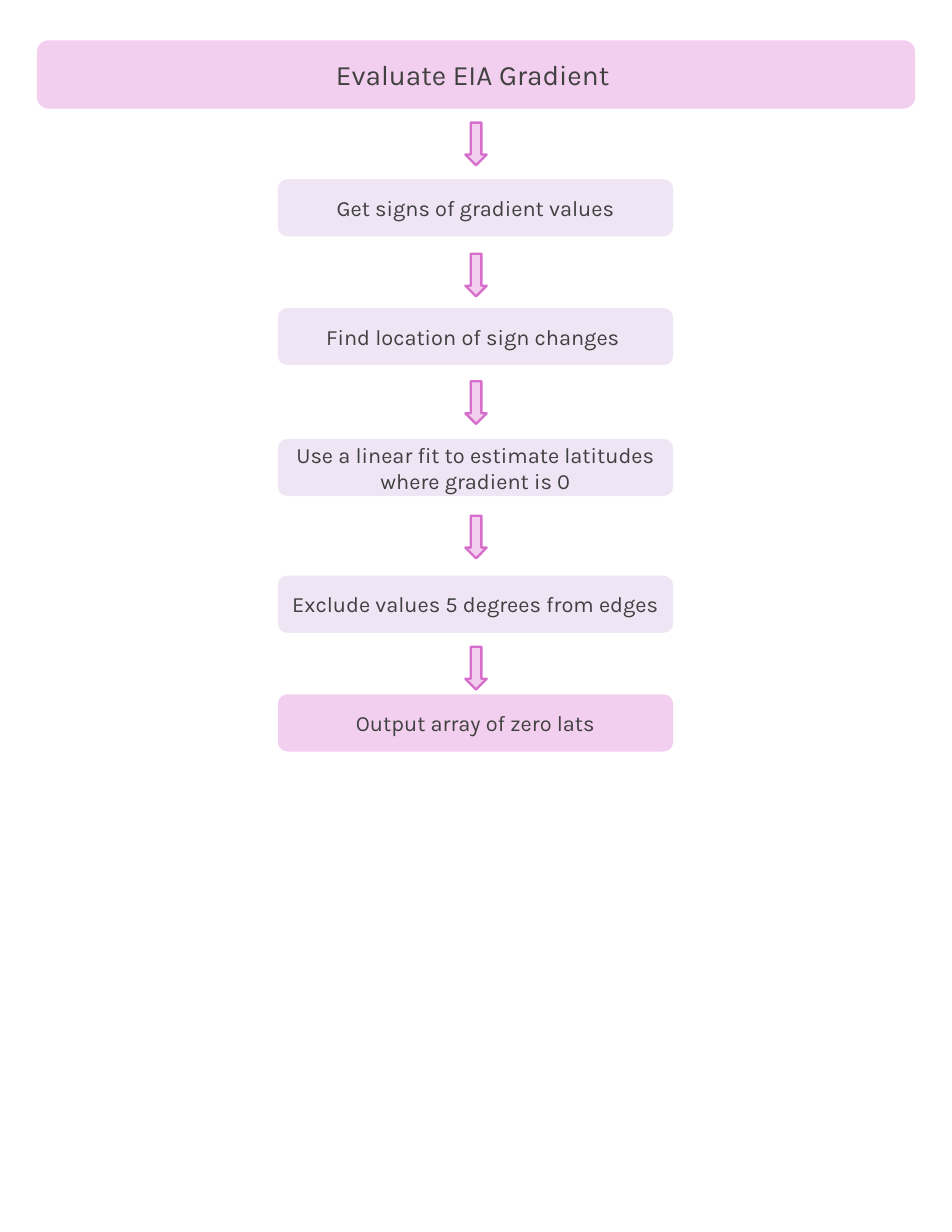
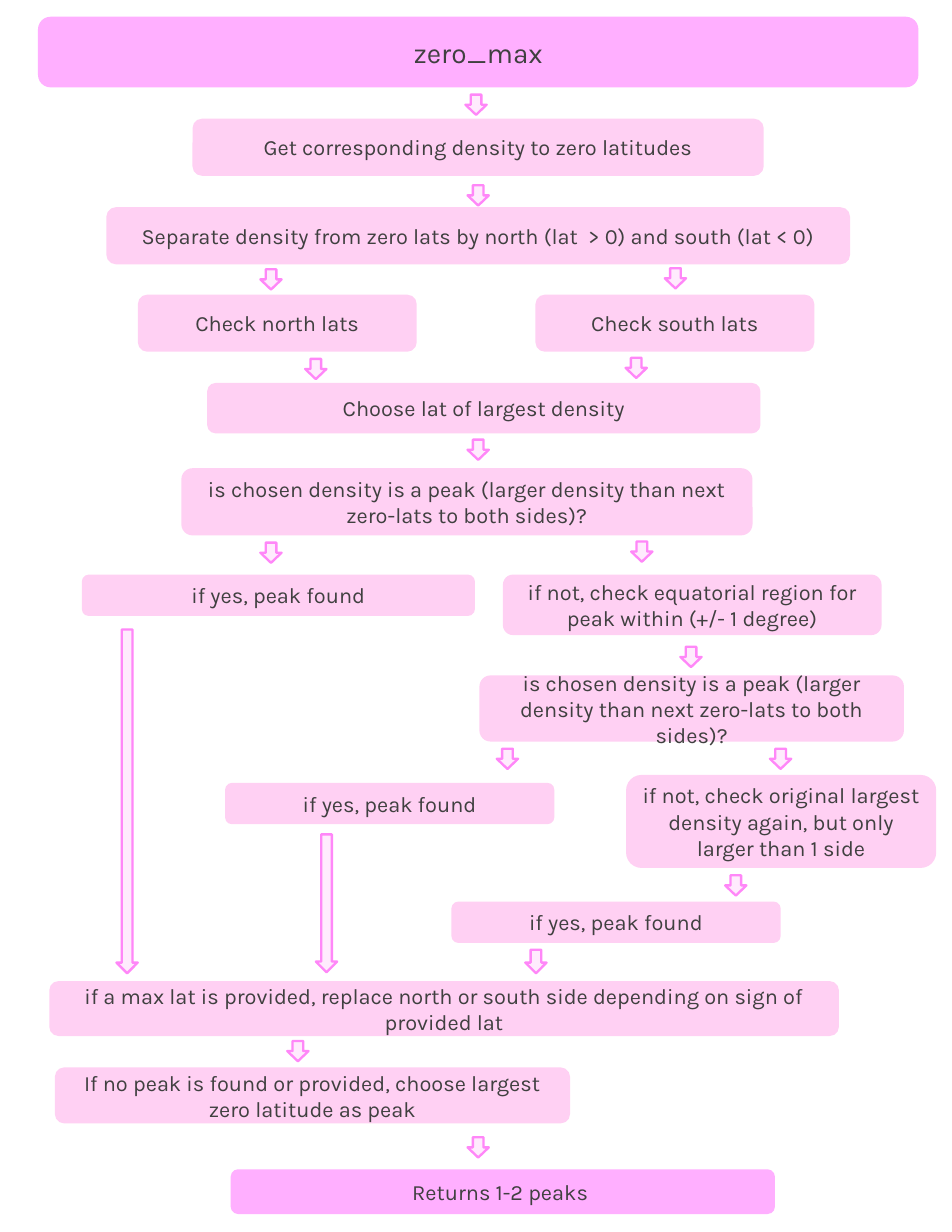
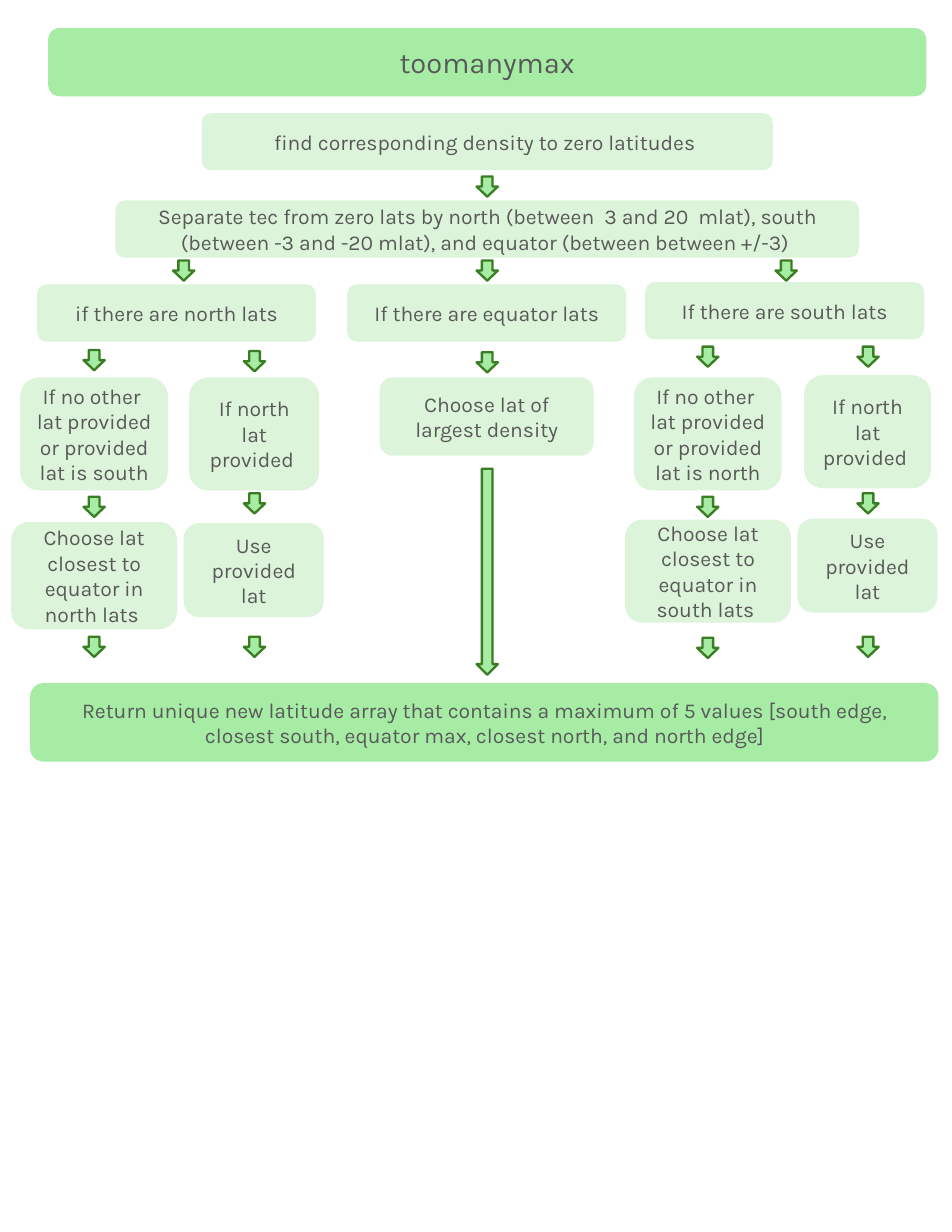
from dataclasses import dataclass

from lxml import etree
from pptx import Presentation
from pptx.dml.color import RGBColor
from pptx.enum.shapes import MSO_SHAPE
from pptx.enum.text import MSO_ANCHOR, PP_ALIGN
from pptx.oxml.ns import qn
from pptx.util import Pt

ROUND_RECT = MSO_SHAPE.ROUNDED_RECTANGLE
RIGHT_ARROW = MSO_SHAPE.RIGHT_ARROW
MIDDLE = MSO_ANCHOR.MIDDLE
CENTER = PP_ALIGN.CENTER

CHARCOAL = RGBColor(0x40, 0x40, 0x40)
GRAY = RGBColor(0x59, 0x59, 0x59)
ORCHID = RGBColor(0xF2, 0xCF, 0xEE)
LAVENDER = RGBColor(0xF0, 0xE5, 0xF5)
MAGENTA = RGBColor(0xD8, 0x6E, 0xCC)
HOT_PINK = RGBColor(0xFF, 0xAF, 0xFF)
PALE_PINK = RGBColor(0xFF, 0xD0, 0xF3)
BRIGHT_PINK = RGBColor(0xFF, 0x87, 0xF8)
GREEN = RGBColor(0xA6, 0xEC, 0xA5)
PALE_GREEN = RGBColor(0xDC, 0xF5, 0xDA)
DARK_GREEN = RGBColor(0x3B, 0x7D, 0x23)

FONT = "Karla"
LINE_WIDTH = 1.5
TITLE_WIDTH, TITLE_HEIGHT = 564.5, 43.9
STEP_HEIGHT = 36.7
ARROW_WIDTH = 13.7
ARROW_LENGTH = 13


@dataclass
class Theme:
    """Colours and text sizes of one flowchart."""
    accent: RGBColor
    step: RGBColor
    arrow_fill: RGBColor
    arrow_line: RGBColor
    text: RGBColor
    title_size: float = 18
    step_size: float = 14
    arrow_opacity: int = 100
    title_outline: bool = False


class Flowchart:
    """Draws the elements of one flowchart on a new slide."""

    def __init__(self, prs, theme):
        self.s = prs.slides.add_slide(prs.slide_layouts[6])
        self.theme = theme

    def shape(self, kind, x, y, w, h, fill, line=None):
        """Add a filled preset shape without a shadow."""
        sp = self.s.shapes.add_shape(kind, Pt(x), Pt(y), Pt(w), Pt(h))
        sp.shadow.inherit = False
        sp.fill.solid()
        sp.fill.fore_color.rgb = fill
        if line is None:
            sp.line.fill.background()
        else:
            sp.line.color.rgb = line
            sp.line.width = Pt(LINE_WIDTH)
        return sp

    def box(self, text, x, y, w, h, fill, size, line=None):
        """Add a rounded box with centred text."""
        tf = self.shape(ROUND_RECT, x, y, w, h, fill, line).text_frame
        tf.word_wrap = True
        tf.vertical_anchor = MIDDLE
        p = tf.paragraphs[0]
        p.alignment = CENTER
        r = p.add_run()
        r.text = text
        r.font.name = FONT
        r.font.size = Pt(size)
        r.font.color.rgb = self.theme.text

    def title(self, text, x, y):
        """Add the title band."""
        t = self.theme
        line = t.accent if t.title_outline else None
        self.box(text, x, y, TITLE_WIDTH, TITLE_HEIGHT, t.accent, t.title_size, line)

    def step(self, text, x, y, w, h=STEP_HEIGHT):
        """Add a step box."""
        self.box(text, x, y, w, h, self.theme.step, self.theme.step_size)

    def result(self, text, x, y, w, h=STEP_HEIGHT):
        """Add the closing box in the accent colour."""
        self.box(text, x, y, w, h, self.theme.accent, self.theme.step_size)

    def arrow(self, cx, cy, length=ARROW_LENGTH):
        """Add a block arrow pointing down, placed by its centre."""
        t = self.theme
        sp = self.shape(RIGHT_ARROW, cx - length / 2, cy - ARROW_WIDTH / 2,
                        length, ARROW_WIDTH, t.arrow_fill, t.arrow_line)
        sp.rotation = 90
        if t.arrow_opacity < 100:
            color = sp.fill._xPr.find(qn("a:solidFill"))[0]
            etree.SubElement(color, qn("a:alpha")).set("val", str(t.arrow_opacity * 1000))


def build_gradient(prs):
    """Build the flowchart that evaluates the gradient."""
    chart = Flowchart(prs, Theme(ORCHID, LAVENDER, ORCHID, MAGENTA, CHARCOAL))
    left, width = 178.6, 254.2
    chart.title("Evaluate EIA Gradient ", 23.8, 25.9)
    for text, y in (
        ("Get signs of gradient values", 115.2),
        ("Find location of sign changes ", 198),
        ("Use a linear fit to estimate latitudes where gradient is 0", 282.2),
        ("Exclude values 5 degrees from edges", 370.1),
    ):
        chart.step(text, left, y, width)
    chart.result("Output array of zero lats", left, 446.4, width)
    for cy in (92.5, 176.8, 258.8, 345.2, 429.5):
        chart.arrow(306, cy, 27.4)


def build_zero_max(prs):
    """Build the zero_max flowchart."""
    chart = Flowchart(prs, Theme(HOT_PINK, PALE_PINK, BRIGHT_PINK, BRIGHT_PINK, CHARCOAL,
                                 arrow_opacity=16, title_outline=True))
    is_peak = ("is chosen density is a peak (larger density than next "
               "zero-lats to both sides)?")
    found = "if yes, peak found"
    chart.title("zero_max", 25.2, 11.5)
    for step in (
        ("Get corresponding density to zero latitudes", 123.8, 76.3, 367.2),
        ("Separate density from zero lats by north (lat  > 0) and south (lat < 0)",
         68.4, 133.2, 478.1),
        ("Check north lats", 88.6, 189.4, 179.3),
        ("Check south lats", 344.2, 189.4, 179.3),
        ("Choose lat of largest density", 133.2, 246.2, 355.7, 32.4),
        (is_peak, 116.6, 301, 367.2, 43.2),
        (found, 52.6, 369.4, 252.7, 26.6),
        ("if not, check equatorial region for peak within (+/- 1 degree)",
         323.3, 369.4, 243.4, 38.9),
        (is_peak, 308.2, 434.2, 272.9, 42.5),
        (found, 144.7, 503.3, 211.7, 26.6),
        ("if not, check original largest density again, but only larger than 1 side",
         402.5, 498.2, 199.4, 59.8),
        (found, 290.2, 579.6, 211.7, 26.6),
        ("if a max lat is provided, replace north or south side depending on sign of "
         "provided lat", 31.7, 630.7, 507.6, 35.3),
        ("If no peak is found or provided, choose largest zero latitude as peak",
         35.3, 686.2, 331.2, 36),
    ):
        chart.step(*step)
    chart.result("Returns 1-2 peaks ", 148.3, 751.7, 349.9, 28.8)
    for arrow in (
        (306, 67.3), (307.4, 125.6), (174.2, 179.6), (434.2, 178.9),
        (203, 237.2), (409, 236.5), (307.4, 289.1), (174.2, 355.3),
        (412.6, 354.6), (444.2, 422.3), (326.2, 487.8), (501.8, 487.8),
        (81.7, 515.2, 221), (209.9, 580.7, 88.6), (473, 569.2),
        (344.5, 618.1, 15.1), (191.5, 675.7), (307.4, 737.6),
    ):
        chart.arrow(*arrow)


def build_toomanymax(prs):
    """Build the toomanymax flowchart."""
    chart = Flowchart(prs, Theme(GREEN, PALE_GREEN, GREEN, DARK_GREEN, GRAY, 18.7, 13.6))
    chart.title("toomanymax", 31, 18)
    for step in (
        ("find corresponding density to zero latitudes ", 129.6, 72.7, 367.2),
        ("Separate tec from zero lats by north (between  3 and 20  mlat), south "
         "(between -3 and -20 mlat), and equator (between between +/-3) ",
         74.2, 128.9, 478.1),
        ("if there are north lats", 23.8, 182.9, 179.3),
        ("If there are equator lats", 223.2, 182.9, 179.3),
        ("If there are south lats", 414.7, 181.4, 179.3),
        ("If no other  lat provided or provided lat is south", 13, 242.6, 95, 72.7),
        ("If north lat provided ", 121.7, 242.6, 83.5, 72.7),
        ("Choose lat of largest density", 244.1, 242.6, 137.5, 50.4),
        ("If no other  lat provided or provided lat is north", 407.5, 242.6, 95, 72.7),
        ("If north lat provided ", 517, 241.2, 81.4, 72.7),
        ("Choose lat closest to equator in north lats ", 7.2, 335.5, 106.6, 69.1),
        ("Use provided lat", 118.1, 336.2, 90, 60.5),
        ("Choose lat closest to equator in south lats ", 401.8, 334.1, 106.6, 66.2),
        ("Use provided lat", 512.6, 333.4, 90, 60.5),
    ):
        chart.step(*step)
    chart.result("Return unique new latitude array that contains a maximum of 5 values "
                 "[south edge, closest south, equator max, closest north, and north edge]",
                 19.4, 439.2, 583.9, 50.4)
    for cx, centres in (
        (60.5, (231.5, 325.8, 415.8)),
        (118.1, (173.9,)),
        (163.6, (232.2, 323.6, 415.8)),
        (313.2, (119.9, 173.9, 232.9)),
        (455, (229.3, 325.8, 416.5)),
        (505.4, (173.9,)),
        (558, (229.3, 323.6, 415.8)),
    ):
        for cy in centres:
            chart.arrow(cx, cy)
    chart.arrow(313.2, 367.6, 132.5)


def main():
    """Build the three flowcharts and save them."""
    prs = Presentation()
    prs.slide_width, prs.slide_height = Pt(612), Pt(792)
    for build in (build_gradient, build_zero_max, build_toomanymax):
        build(prs)
    prs.save("out.pptx")


if __name__ == "__main__":
    main()
